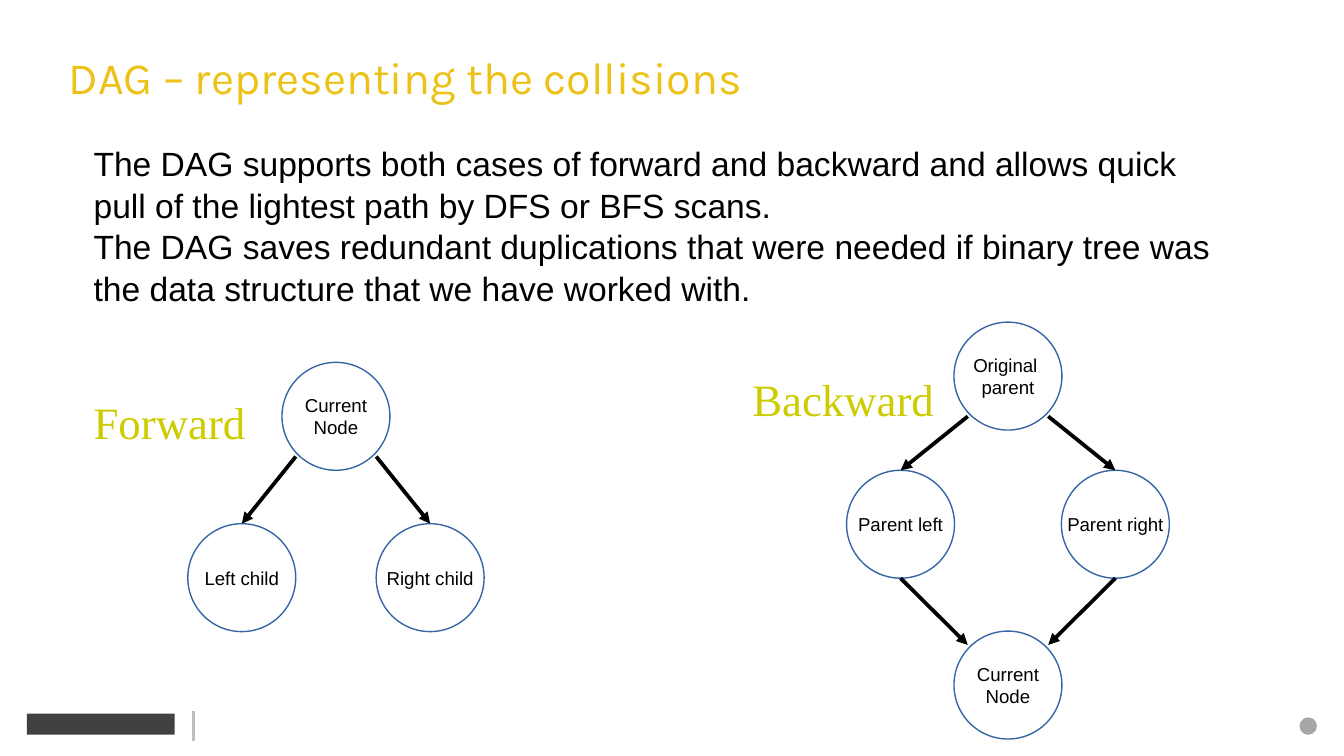
from lxml import etree
from pptx import Presentation
from pptx import util as u
from pptx.dml.color import RGBColor
from pptx.enum import shapes, text
from pptx.oxml.ns import qn

GOLD = RGBColor(0xED, 0xC2, 0x18)
LIME = RGBColor(0xCC, 0xCC, 0x00)
BLACK = RGBColor(0x00, 0x00, 0x00)
WHITE = RGBColor(0xFF, 0xFF, 0xFF)
NODE_BLUE = RGBColor(0x34, 0x65, 0xA4)
CHARCOAL = RGBColor(0x41, 0x40, 0x42)
DOT_GREY = RGBColor(0xA6, 0xA6, 0xA6)
RULE_GREY = RGBColor(0xBF, 0xBF, 0xBF)

RADIUS = 1.02    # of a node, in cm
DIAGONAL = 0.76  # offset of an arrow end on a node's diagonal, in cm


def write(frame, paragraphs, font="Arial", size=18, color=BLACK,
          align=text.PP_ALIGN.LEFT, anchor=text.MSO_ANCHOR.TOP,
          wrap=True, spacing=None):
    frame.auto_size = text.MSO_AUTO_SIZE.NONE
    frame.word_wrap = wrap
    frame.vertical_anchor = anchor
    for i, line in enumerate(paragraphs):
        paragraph = frame.add_paragraph() if i else frame.paragraphs[0]
        paragraph.alignment = align
        paragraph.line_spacing = spacing
        run = paragraph.add_run()
        run.text = line
        run.font.name = font
        run.font.size = u.Pt(size)
        run.font.color.rgb = color


class DagSlide:
    def __init__(self, deck):
        self.slide = deck.slides.add_slide(deck.slide_layouts[5])
        self.shapes = self.slide.shapes

    def title(self, words, left, top, width, height):
        title = self.shapes.title
        title.left, title.top = u.Cm(left), u.Cm(top)
        title.width, title.height = u.Cm(width), u.Cm(height)
        write(title.text_frame, [words], font="Karla", size=24, color=GOLD,
              anchor=text.MSO_ANCHOR.MIDDLE)

    def text_box(self, paragraphs, left, top, width, height, **style):
        box = self.shapes.add_textbox(u.Cm(left), u.Cm(top), u.Cm(width), u.Cm(height))
        write(box.text_frame, paragraphs, **style)

    def label(self, words, left, top):
        self.text_box([words], left, top, 3.43, 1.7, font="Times New Roman",
                      size=24, color=LIME, anchor=text.MSO_ANCHOR.MIDDLE, wrap=False)

    def shape(self, kind, left, top, width, height, fill, outline=None):
        shape = self.shapes.add_shape(kind, u.Cm(left), u.Cm(top), u.Cm(width), u.Cm(height))
        shape.shadow.inherit = False
        shape.fill.solid()
        shape.fill.fore_color.rgb = fill
        if outline is None:
            shape.line.fill.background()
        else:
            shape.line.color.rgb = outline
            shape.line.width = u.Pt(0)
        return shape

    def node(self, lines, center):
        x, y = center
        circle = self.shape(shapes.MSO_SHAPE.OVAL, x - RADIUS, y - RADIUS,
                            2 * RADIUS, 2 * RADIUS, WHITE, NODE_BLUE)
        write(circle.text_frame, lines, size=10, align=text.PP_ALIGN.CENTER,
              anchor=text.MSO_ANCHOR.MIDDLE, wrap=False)

    def line(self, start, end, color, width):
        line = self.shapes.add_connector(
            shapes.MSO_CONNECTOR.STRAIGHT, *(u.Cm(v) for v in (*start, *end)))
        line.line.color.rgb = color
        line.line.width = u.Pt(width)
        etree.SubElement(line._element.spPr, qn("a:effectLst"))
        return line

    def arrow(self, start, end):
        arrow = self.line(start, end, BLACK, 0)
        etree.SubElement(arrow.line._get_or_add_ln(), qn("a:tailEnd"), type="triangle")

    def branch(self, parent, child):
        """Arrow from the parent's lower diagonal to the top of the child."""
        side = 1 if child[0] > parent[0] else -1
        self.arrow((parent[0] + side * DIAGONAL, parent[1] + DIAGONAL),
                   (child[0], child[1] - RADIUS))

    def merge(self, parent, child):
        """Arrow from the parent's bottom to the child's upper diagonal."""
        side = 1 if parent[0] > child[0] else -1
        self.arrow((parent[0], parent[1] + RADIUS),
                   (child[0] + side * DIAGONAL, child[1] - DIAGONAL))


def main():
    deck = Presentation()
    deck.slide_width, deck.slide_height = u.Cm(25.4), u.Cm(14.29)
    dag = DagSlide(deck)

    # Footer
    dag.shape(shapes.MSO_SHAPE.OVAL, 24.56, 13.56, 0.33, 0.33, DOT_GREY)
    dag.line((3.66, 13.44), (3.66, 14), RULE_GREY, 1.25)
    dag.shape(shapes.MSO_SHAPE.RECTANGLE, 0.51, 13.49, 2.79, 0.4, CHARCOAL)

    dag.title("DAG – representing the collisions", 1.04, 0.76, 22.86, 1.37)
    dag.text_box([
        "The DAG supports both cases of forward and backward and allows quick "
        "pull of the lightest path by DFS or BFS scans.",
        "The DAG saves redundant duplications that were needed if binary tree was "
        "the data structure that we have worked with.",
    ], 1.52, 2.54, 21.84, 9.4, spacing=1.04)

    # Forward: one node with two children
    root, left_child, right_child = (6.35, 7.87), (4.57, 10.92), (8.13, 10.92)
    dag.label("Forward", 1.52, 7.11)
    dag.node(["Current", "Node"], root)
    dag.node(["Left child"], left_child)
    dag.node(["Right child"], right_child)
    for child in (left_child, right_child):
        dag.branch(root, child)

    # Backward: two parents that share an ancestor
    ancestor, current = (19.05, 7.11), (19.05, 12.95)
    left_parent, right_parent = (17.02, 9.91), (21.08, 9.91)
    dag.label("Backward", 13.97, 6.68)
    dag.node(["Current", "Node"], current)
    dag.node(["Parent left"], left_parent)
    dag.node(["Parent right"], right_parent)
    dag.node(["Original ", "parent"], ancestor)
    for parent in (left_parent, right_parent):
        dag.branch(ancestor, parent)
        dag.merge(parent, current)

    deck.save("out.pptx")


if __name__ == "__main__":
    main()
